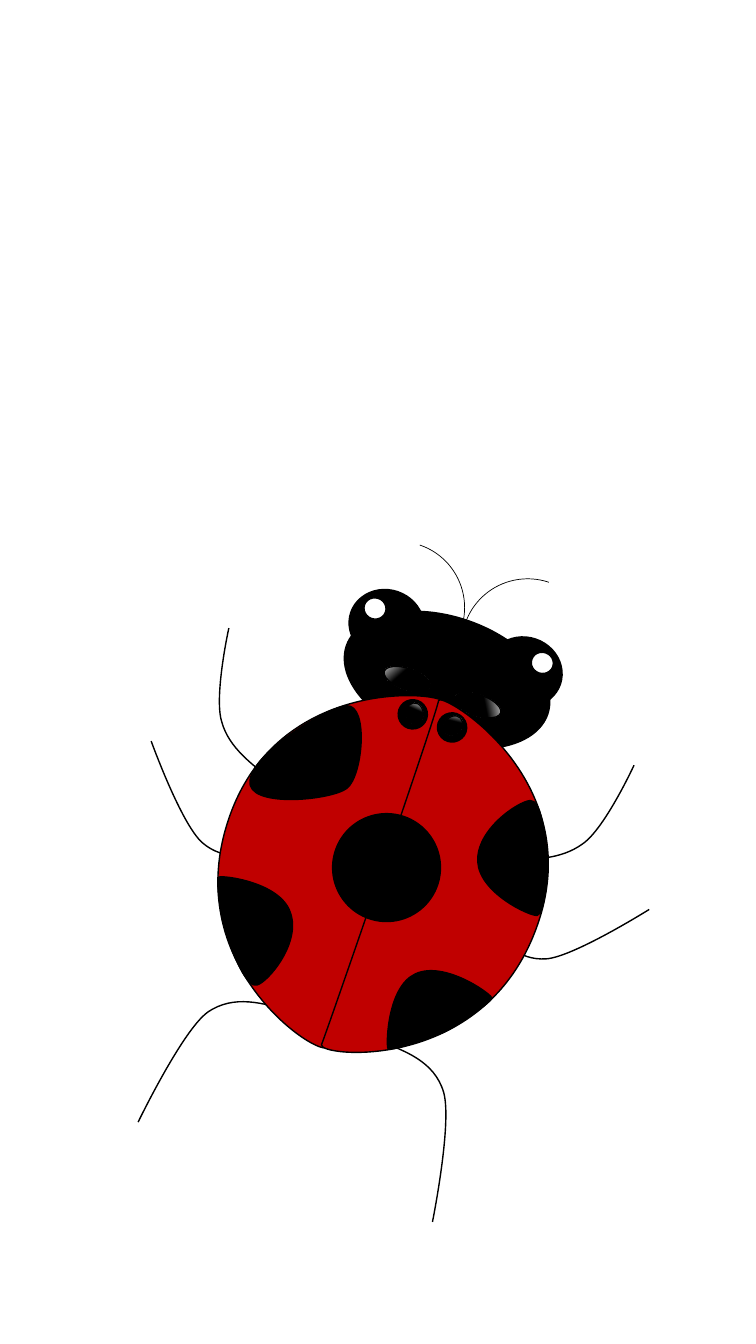
from lxml.etree import Element
from pptx import Presentation
from pptx.dml.color import RGBColor
from pptx.enum.shapes import MSO_SHAPE
from pptx.oxml.ns import qn
from pptx.util import Emu, Pt

EMU_PER_PX = 9144
SLIDE_WIDTH, SLIDE_HEIGHT = 750, 1333
BLACK = RGBColor(0x00, 0x00, 0x00)
WHITE = RGBColor(0xFF, 0xFF, 0xFF)
RED = RGBColor(0xC0, 0x00, 0x00)
BODY_TILT = 18.7

# Each curve is a start point followed by three points per Bézier segment.
LEGS = [
    [(289, 1003), (261, 995), (232, 986), (206, 1004), (181, 1022), (137, 1113), (137, 1113)],
    [(479, 913), (497, 933), (514, 953), (542, 951), (569, 949), (644, 902), (644, 902)],
    [(374, 1032), (402, 1042), (431, 1053), (440, 1083), (449, 1113), (429, 1212), (429, 1212)],
    [(273, 844), (247, 849), (222, 854), (201, 836), (180, 818), (150, 735), (150, 735)],
    [(274, 777), (251, 759), (227, 742), (220, 716), (212, 691), (227, 623), (227, 623)],
    [(498, 852), (527, 853), (556, 853), (578, 837), (600, 822), (629, 759), (629, 759)],
]
WINGS = [
    [(226, 815), (274, 666), (446, 687), (440, 697), (433, 706), (328, 1025), (324, 1038),
     (321, 1051), (178, 963), (226, 815)],
    [(533, 918), (585, 771), (435, 684), (435, 695), (434, 706), (324, 1024), (319, 1036),
     (314, 1048), (481, 1066), (533, 918)],
]
LOWER_RIGHT_SPOT = [
    (412, 966), (441, 952), (489, 987), (488, 990), (487, 994), (459, 1014), (442, 1023),
    (425, 1031), (386, 1043), (385, 1040), (383, 1037), (384, 979), (412, 966)]
SIDE_SPOTS = [
    [(288, 905), (299, 935), (266, 974), (255, 977), (245, 981), (231, 946), (225, 928),
     (219, 911), (214, 871), (217, 870), (221, 868), (278, 875), (288, 905)],
    [(474, 855), (472, 823), (514, 795), (526, 794), (537, 793), (541, 830), (543, 849),
     (544, 868), (540, 907), (533, 908), (526, 909), (476, 886), (474, 855)],
    [(344, 782), (328, 794), (244, 802), (248, 774), (251, 747), (322, 702), (344, 700),
     (366, 699), (360, 770), (344, 782)],
]


class LadybugSlide:
    def __init__(self):
        self.presentation = Presentation()
        self.presentation.slide_width = Emu(SLIDE_WIDTH * EMU_PER_PX)
        self.presentation.slide_height = Emu(SLIDE_HEIGHT * EMU_PER_PX)
        self.slide = self.presentation.slides.add_slide(self.presentation.slide_layouts[6])
        self.ladybug = None

    def start_ladybug(self):
        self.ladybug = self.slide.shapes.add_group_shape()

    def style(self, shape, fill, line, weight):
        shape.shadow.inherit = False
        if fill is None:
            shape.fill.background()
        else:
            shape.fill.solid()
            shape.fill.fore_color.rgb = fill
        shape.line.color.rgb = line
        shape.line.width = Pt(weight)

    def preset(self, kind, box, fill, line=BLACK, weight=1, tilt=0, mirrored=False):
        parent = self.ladybug or self.slide
        shape = parent.shapes.add_shape(kind, *(Emu(length * EMU_PER_PX) for length in box))
        shape.rotation = tilt
        if mirrored:
            shape.element.spPr.find(qn("a:xfrm")).set("flipH", "1")
        self.style(shape, fill, line, weight)
        return shape

    def oval(self, box, fill=BLACK, tilt=BODY_TILT, mirrored=False):
        return self.preset(MSO_SHAPE.OVAL, box, fill, tilt=tilt, mirrored=mirrored)

    def antenna(self, box, tilt, mirrored=False):
        self.preset(MSO_SHAPE.ARC, box, None, weight=0.5, tilt=tilt, mirrored=mirrored)

    def glint(self, box, tilt=BODY_TILT, mirrored=False):
        """Add a black oval that shines white at one end."""
        shine = self.oval(box, tilt=tilt, mirrored=mirrored)
        shine.fill.gradient()
        shine.fill.gradient_angle = 210
        for stop, color, position in zip(shine.fill.gradient_stops, (WHITE, BLACK), (0, 0.38)):
            stop.color.rgb = color
            stop.position = position

    def curve(self, points, fill=None):
        """Draw a Bézier outline, closed when it has a fill."""
        builder = self.ladybug.shapes.build_freeform(*points[0], scale=EMU_PER_PX)
        builder.add_line_segments(points[1:], close=fill is not None)
        shape = builder.convert_to_shape()
        outline = shape.element.find(".//" + qn("a:path"))
        segments = outline.findall(qn("a:lnTo"))
        for first in range(0, len(segments), 3):
            bezier = Element(qn("a:cubicBezTo"))
            segments[first].addprevious(bezier)
            for segment in segments[first:first + 3]:
                bezier.append(segment[0])
                outline.remove(segment)
        self.style(shape, fill, BLACK, 1)


def main():
    page = LadybugSlide()
    page.preset(MSO_SHAPE.RECTANGLE, (0, 433, 750, 900), WHITE, line=WHITE)
    page.start_ladybug()

    for leg in LEGS:
        page.curve(leg)
    page.antenna((458, 574, 131, 131), 288.7)
    page.antenna((330, 537, 131, 131), 108.7, mirrored=True)

    head = (338, 612, 211, 125)
    page.oval(head)
    for wing in WINGS:
        page.curve(wing, RED)

    center_spot = (330, 807, 107, 107)
    right_eye, left_eye = (483, 632, 75, 69), (346, 585, 75, 69)
    left_dot, right_dot = (395, 694, 29, 29), (434, 707, 29, 29)
    for part in (center_spot, right_eye, left_eye, left_dot):
        page.oval(part)
    page.curve(LOWER_RIGHT_SPOT, BLACK)

    page.glint((450, 689, 48, 21))
    page.glint((380, 663, 48, 21), mirrored=True)
    for pupil in ((527, 647, 22, 21), (361, 593, 22, 21)):
        page.oval(pupil, WHITE)

    for spot in SIDE_SPOTS:
        page.curve(spot, BLACK)
    page.oval(right_dot)
    page.glint((439, 711, 21, 17), tilt=313.9)
    page.glint((401, 699, 21, 17), tilt=83.4, mirrored=True)

    page.presentation.save("out.pptx")


if __name__ == "__main__":
    main()
